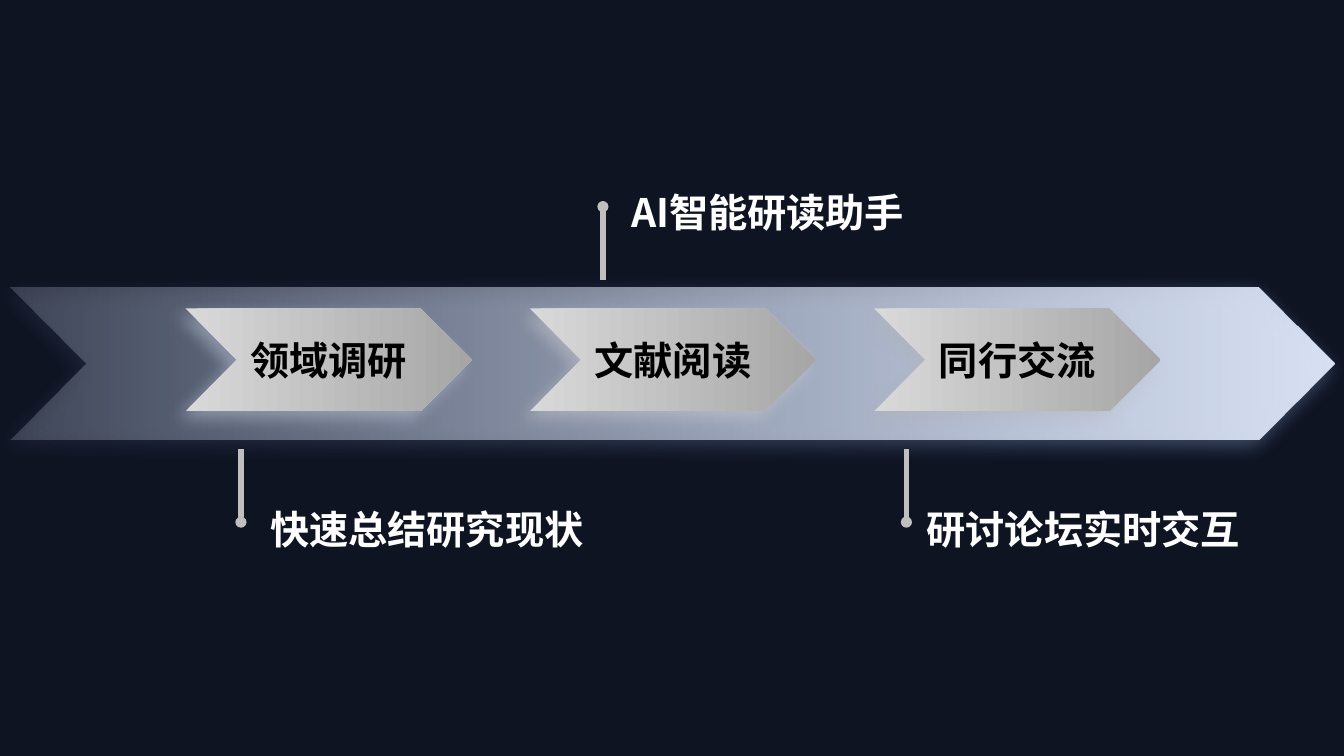
"""Build a slide with three research stages on a wide arrow and a callout for each."""
import pptx
import pptx.dml.color
import pptx.enum.shapes
import pptx.enum.text
import pptx.oxml
import pptx.oxml.ns
import pptx.util
from lxml import etree

Inches = pptx.util.Inches
Pt = pptx.util.Pt
RGB = pptx.dml.color.RGBColor.from_string
qn = pptx.oxml.ns.qn

COLORS = {
    "background": "0F1423", "band": "DAE3F5", "band_shadow": "91ACE0",
    "stage_light": "D9D9D9", "stage_dark": "A6A6A6", "pin": "BFBFBF",
    "stage_text": "000000", "callout_text": "FFFFFF",
}
FONT = "Noto Sans CJK SC"
WIDTH, HEIGHT = 13.33, 7.5
STAGE_LEFT, STAGE_STEP = 1.84, 3.415
PIN_LENGTH = 0.73


def add_chevron(box, start, end, shadow_color, blur, distance):
    shape = slide.shapes.add_shape(
        pptx.enum.shapes.MSO_SHAPE.CHEVRON, *map(Inches, box))
    shape.line.fill.background()
    shape.fill.gradient()
    shape.fill.gradient_angle = 0
    for stop, color in zip(shape.fill.gradient_stops, (start, end)):
        stop.color.rgb = RGB(color)
    shape.shadow.inherit = False
    effects = shape._element.spPr.find(qn("a:effectLst"))
    shadow = etree.SubElement(
        effects, qn("a:outerShdw"), blurRad=str(Pt(blur)), dist=str(Pt(distance)),
        dir=str(135 * 60000), algn="tr", rotWithShape="0")
    color = etree.SubElement(shadow, qn("a:srgbClr"), val=shadow_color)
    etree.SubElement(color, qn("a:alpha"), val="40000")
    return shape


def write_label(frame, text, color):
    paragraph = frame.paragraphs[0]
    paragraph.text = text
    paragraph.font.size = Pt(28)
    paragraph.font.bold = True
    paragraph.font.name = FONT
    paragraph.font.color.rgb = RGB(color)
    properties = paragraph._p.pPr.find(qn("a:defRPr"))
    etree.SubElement(properties, qn("a:ea"), typeface=FONT)
    return paragraph


presentation = pptx.Presentation()
presentation.slide_width = Inches(WIDTH)
presentation.slide_height = Inches(HEIGHT)
slide = presentation.slides.add_slide(presentation.slide_layouts[6])
slide.background.fill.solid()
slide.background.fill.fore_color.rgb = RGB(COLORS["background"])

band = add_chevron((0.1, 2.85, 13.14, 1.51), COLORS["band"], COLORS["band"],
                   COLORS["band_shadow"], 14, 5)
first_color = next(band._element.spPr.iter(qn("a:srgbClr")))
etree.SubElement(first_color, qn("a:alpha"), val="20000")

stages = [("领域调研", "DAE3F5"), ("文献阅读", "D9D9D9"), ("同行交流", "B2B2B2")]
for column, (name, shadow_color) in enumerate(stages):
    stage = add_chevron((STAGE_LEFT + column * STAGE_STEP, 3.06, 2.84, 1.02),
                        COLORS["stage_light"], COLORS["stage_dark"],
                        shadow_color, 12, 7)
    stage.text_frame.word_wrap = False
    stage.text_frame.vertical_anchor = pptx.enum.text.MSO_ANCHOR.MIDDLE
    paragraph = write_label(stage.text_frame, name, COLORS["stage_text"])
    paragraph.alignment = pptx.enum.text.PP_ALIGN.CENTER

callouts = [
    ("AI智能研读助手", 6.26, 1.73, 5.98, 2.05, PIN_LENGTH),
    ("快速总结研究现状", 2.68, 4.87, 2.39, 5.18, -PIN_LENGTH),
    ("研讨论坛实时交互", 9.19, 4.87, 8.99, 5.18, -PIN_LENGTH),
]
for text, left, top, pin_x, dot_y, reach in callouts:
    textbox = slide.shapes.add_textbox(
        Inches(left), Inches(top), Inches(3.71), Inches(0.99))
    frame = textbox.text_frame
    frame.word_wrap = True
    frame.margin_left = frame.margin_right = 0
    frame.margin_top = frame.margin_bottom = 0
    write_label(frame, text, COLORS["callout_text"]).line_spacing = 1.3

    pin = slide.shapes.add_connector(
        pptx.enum.shapes.MSO_CONNECTOR.STRAIGHT, Inches(pin_x), Inches(dot_y),
        Inches(pin_x), Inches(dot_y + reach))
    pin.line.width = Pt(4)
    pin.line.color.rgb = RGB(COLORS["pin"])
    outline = pin._element.spPr.find(qn("a:ln"))
    etree.SubElement(outline, qn("a:headEnd"), type="oval", w="sm", len="sm")
    etree.SubElement(pin._element.spPr, qn("a:effectLst"))

presentation.save("out.pptx")
